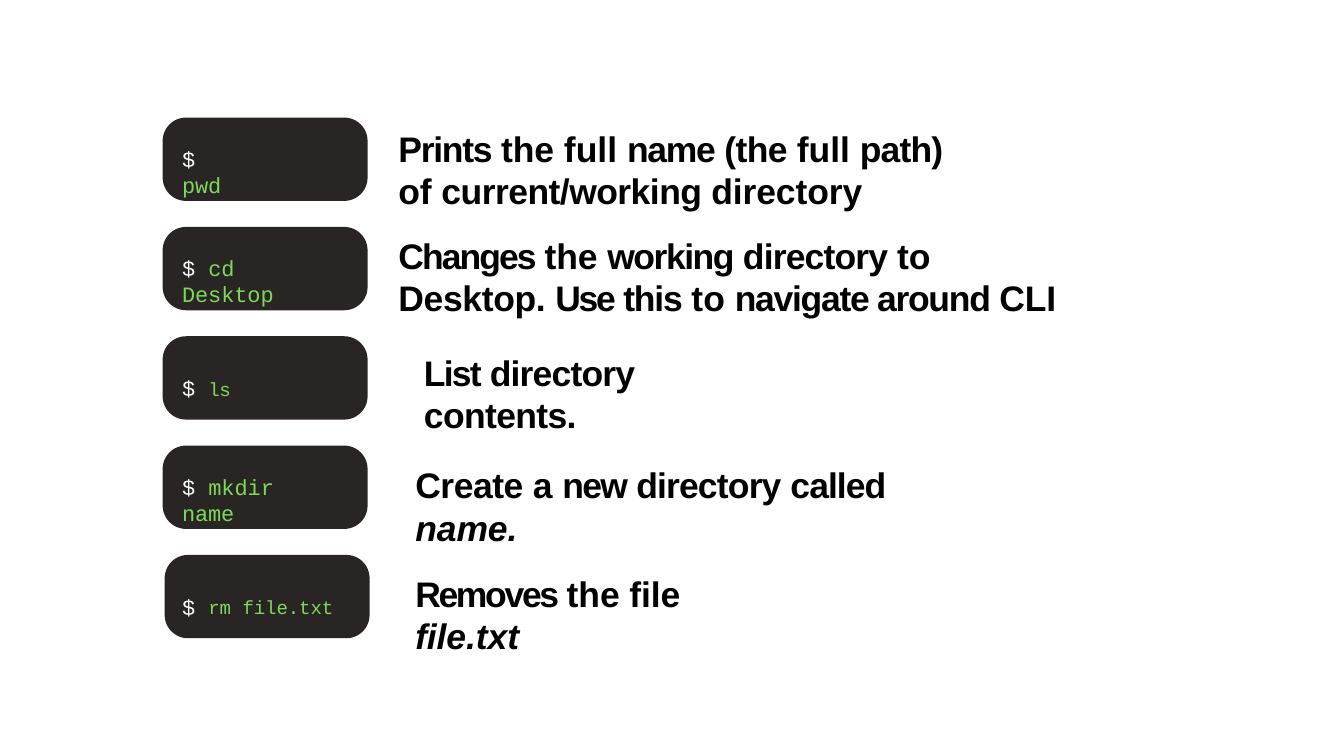
from pptx import Presentation
from pptx.dml.color import RGBColor
from pptx.enum.shapes import MSO_SHAPE
from pptx.enum.text import MSO_AUTO_SIZE
from pptx.util import Inches, Pt

ROUNDED = MSO_SHAPE.ROUNDED_RECTANGLE
GROW = MSO_AUTO_SIZE.SHAPE_TO_FIT_TEXT
COLORS = {"panel": "292525", "prompt": "FFFFFF", "command": "7DD957", "body": "000000"}

prs = Presentation()
prs.slide_width = Inches(20)
prs.slide_height = Inches(11.25)
COL = prs.slide_width / 200
ROW = prs.slide_height / 112.5
slide = prs.slides.add_slide(prs.slide_layouts[6])


def add_text_frame(left, top, width, height, inset):
    box = slide.shapes.add_textbox(
        int(left * COL), int(top * ROW), int(width * COL), int(height * ROW))
    frame = box.text_frame
    frame.word_wrap = True
    frame.auto_size = GROW
    frame.margin_left = frame.margin_right = frame.margin_bottom = 0
    frame.margin_top = int(inset * ROW)
    return frame


def add_run(paragraph, text, font, size, color, spacing, bold=False, italic=False, raised=0):
    run = paragraph.add_run()
    run.text = text
    run.font.name = font
    run.font.size = Pt(size)
    run.font.bold = bold
    run.font.italic = italic
    run.font.color.rgb = RGBColor.from_string(COLORS[color])
    properties = run._r.get_or_add_rPr()
    properties.set("spc", str(round(spacing * 100)))
    if raised:
        properties.set("baseline", str(raised * 1000))


PANEL_TOP, PANEL_PITCH = 17.5, 16.27
commands = [
    (24.2, 9.4, 23.5, 0, [("pwd", -0.2)]),
    (24.2, 23.1, 23.5, 0, [("cd ", 0), ("Desktop", -0.1)]),
    (24.2, 7.5, 35.2, 1, [("ls", -0.4)]),
    (24.2, 23.1, 23.5, 0, [("mkdir ", 0), ("name", -0.2)]),
    (24.5, 25.1, 35.2, 2, [("rm ", 0), ("file.txt", -0.1)]),
]
for index, (panel_left, width, size, raised, words) in enumerate(commands):
    top = PANEL_TOP + index * PANEL_PITCH
    panel = slide.shapes.add_shape(
        ROUNDED, int(panel_left * COL), int(top * ROW), int(30.5 * COL), int(12.4 * ROW))
    panel.adjustments[0] = 0.28
    panel.shadow.inherit = False
    panel.fill.solid()
    panel.fill.fore_color.rgb = RGBColor.from_string(COLORS["panel"])
    panel.line.fill.background()

    line = add_text_frame(27, top + 4, width, 4.2, 0.1).paragraphs[0]
    line.space_before = Pt(1)
    line._p.get_or_add_pPr().set("marL", str(int(0.1 * COL)))
    add_run(line, "$ ", "Courier New", 23.5, "prompt", -0.2)
    for text, spacing in words:
        add_run(line, text, "Courier New", size, "command", spacing, raised=raised)

pwd_words = [
    ("Prints ", -1.4), ("the ", -0.1), ("full ", 0), ("name ", -1.4), ("(the ", -0.7),
    ("full ", 0), ("path) ", -0.9), ("of ", -0.2), ("current/working ", -0.6),
    ("directory", -0.1),
]
cd_words = [
    ("Changes ", -2.1), ("the ", -0.1), ("working ", -1.6), ("directory ", -0.9), ("to ", 0),
    ("Desktop. ", -0.4), ("Use ", -2.5), ("this ", -1.3), ("to ", 0),
    ("navigate around ", -1.4), ("CLI", -0.2),
]
ls_words = [("List ", -1.9), ("directory ", -0.9), ("contents.", -0.7)]
mkdir_words = [
    ("Create ", -0.5), ("a ", 0), ("new ", -1.8), ("directory ", -0.9), ("called ", -1),
    ("name.", -0.1),
]
rm_words = [("Removes ", -2.5), ("the file ", -0.1), ("file.txt", -0.1)]

descriptions = [
    (59.2, 18.5, 101.7, 29, 0.5, 45, [(3.4, 18, pwd_words), (25.1, 0, cd_words)]),
    (63, 52, 55.3, 6.7, 0.2, None, [(1.4, 0, ls_words)]),
    (61.7, 68.7, 86.1, 6.7, 0.2, None, [(1.4, 0, mkdir_words)]),
    (61.7, 84.9, 56.4, 6.7, 0.2, None, [(1.4, 0, rm_words)]),
]
for left, top, width, height, inset, leading, paragraphs in descriptions:
    frame = add_text_frame(left, top, width, height, inset)
    for index, (space_before, right_indent, words) in enumerate(paragraphs):
        sentence = frame.add_paragraph() if index else frame.paragraphs[0]
        sentence.space_before = Pt(space_before)
        if leading:
            sentence.line_spacing = Pt(leading)
        indents = sentence._p.get_or_add_pPr()
        indents.set("marL", str(int(0.1 * COL)))
        indents.set("marR", str(int(right_indent * COL)))
        for text, spacing in words:
            add_run(sentence, text, "Arial", 38, "body", spacing, bold=True,
                    italic=text in ("name.", "file.txt"))

prs.save("out.pptx")
